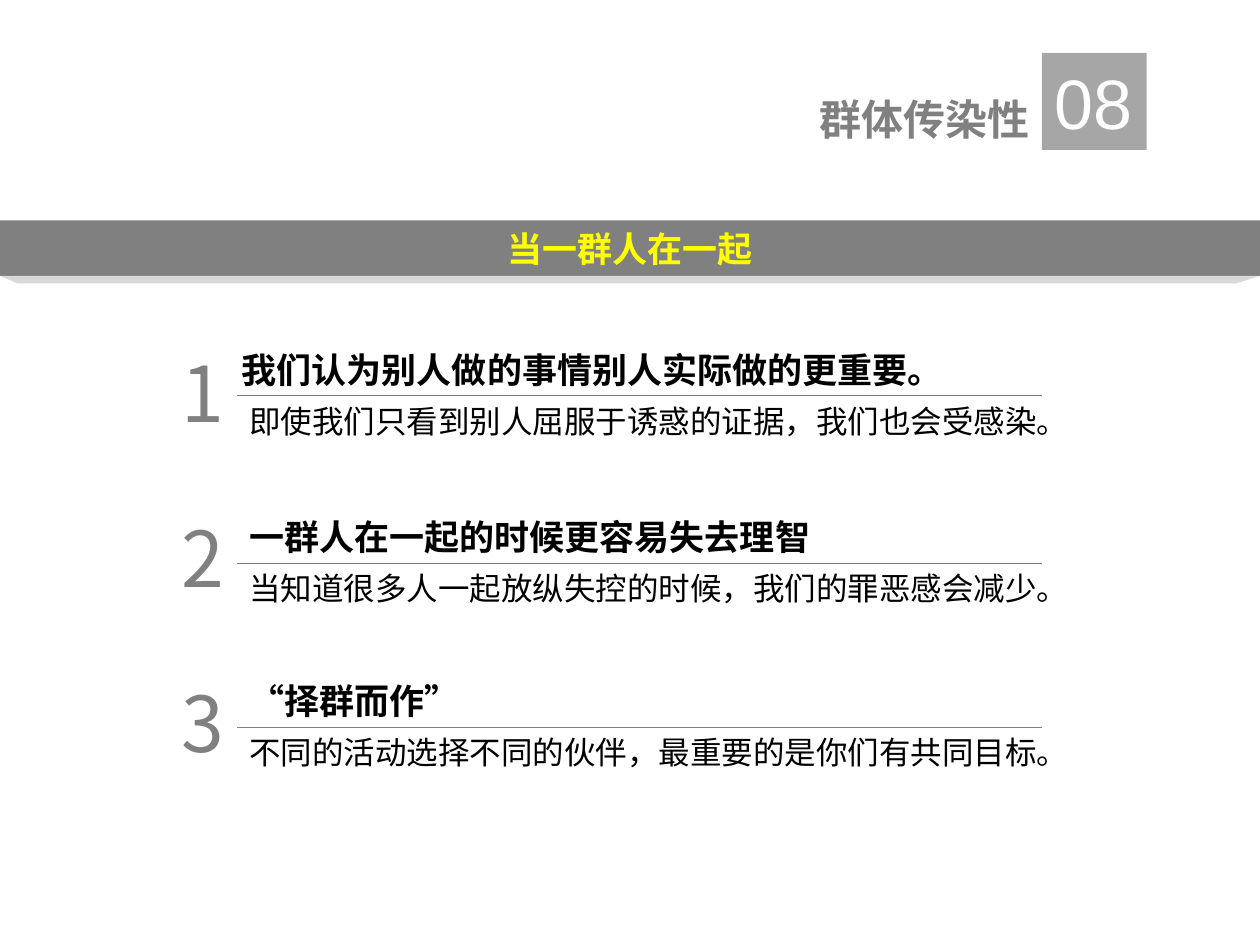
from dataclasses import dataclass

from lxml import etree
from pptx import Presentation
from pptx.dml.color import RGBColor
from pptx.enum import lang, shapes, text
from pptx.oxml import ns
from pptx.util import Inches, Pt


@dataclass(frozen=True)
class Theme:
    gray: str = "808080"
    badge: str = "A6A6A6"
    fold: str = "D9D9D9"
    white: str = "FFFFFF"
    black: str = "000000"
    yellow: str = "FFFF00"
    latin: str = "Arial"
    chinese: str = "Noto Sans CJK SC"
    digits: str = "Noto Sans CJK JP"
    body_size: int = 18
    heading_size: int = 20
    title_size: int = 24
    badge_size: int = 40
    number_size: int = 44


THEME = Theme()
LEFT, RIGHT = 1.88, 8.27
NUMBER_TOP, NUMBER_PITCH = 2.69, 1.31

# Heading, its font, explanation, heading left, heading top, rule height
POINTS = [
    ("我们认为别人做的事情别人实际做的更重要。", THEME.chinese,
     "即使我们只看到别人屈服于诱惑的证据，我们也会受感染。", 1.82, 2.72, 3.14),
    ("一群人在一起的时候更容易失去理智", THEME.latin,
     "当知道很多人一起放纵失控的时候，我们的罪恶感会减少。", LEFT, 4.04, 4.47),
    ("“择群而作”", THEME.latin,
     "不同的活动选择不同的伙伴，最重要的是你们有共同目标。", LEFT, 5.34, 5.77),
]


def write(shape, words, size, color, font=THEME.latin, bold=False,
          align=text.PP_ALIGN.LEFT, wrap=False):
    frame = shape.text_frame
    frame.text = words
    frame.word_wrap = wrap
    frame.auto_size = text.MSO_AUTO_SIZE.SHAPE_TO_FIT_TEXT
    paragraph = frame.paragraphs[0]
    paragraph.alignment = align
    run = paragraph.runs[0]
    run.font.size = Pt(size)
    run.font.bold = bold
    run.font.color.rgb = RGBColor.from_string(color)
    run.font.name = font
    run.font.language_id = lang.MSO_LANGUAGE_ID.SIMPLIFIED_CHINESE
    # East Asian typeface follows the Latin one
    latin = run.font._element.find(ns.qn("a:latin"))
    east_asian = etree.Element(ns.qn("a:ea"), typeface=THEME.chinese)
    latin.addnext(east_asian)


def add_label(slide, left, top, width, height, words, size, color, **style):
    box = slide.shapes.add_textbox(*map(Inches, (left, top, width, height)))
    write(box, words, size, color, **style)


def paint(shape, fill):
    shape.shadow.inherit = False
    shape.fill.solid()
    shape.fill.fore_color.rgb = RGBColor.from_string(fill)
    shape.line.fill.background()


def add_block(slide, left, top, width, height, fill):
    block = slide.shapes.add_shape(
        shapes.MSO_SHAPE.RECTANGLE, *map(Inches, (left, top, width, height)))
    paint(block, fill)
    return block


def add_rule(slide, top):
    rule = slide.shapes.add_connector(
        shapes.MSO_CONNECTOR.STRAIGHT,
        Inches(LEFT), Inches(top), Inches(RIGHT), Inches(top))
    rule.line.color.rgb = RGBColor.from_string(THEME.gray)
    rule.line.width = Pt(0.5)
    etree.SubElement(rule._element.spPr, ns.qn("a:effectLst"))


def add_banner(slide):
    banner = add_block(slide, 0, 1.75, 10, 0.44, THEME.gray)
    write(banner, "当一群人在一起", THEME.heading_size, THEME.yellow,
          font=THEME.chinese, bold=True, align=text.PP_ALIGN.CENTER, wrap=True)
    # Folded lower edge
    builder = slide.shapes.build_freeform(Inches(0), Inches(2.19))
    corners = [(10, 2.19), (9.81, 2.25), (0.14, 2.25)]
    builder.add_line_segments([(Inches(x), Inches(y)) for x, y in corners])
    paint(builder.convert_to_shape(), THEME.fold)


def add_title(slide):
    add_label(slide, 2.51, 0.69, 5.76, 0.5, "群体传染性", THEME.title_size,
              THEME.gray, font=THEME.chinese, bold=True,
              align=text.PP_ALIGN.RIGHT, wrap=True)
    backing = add_block(slide, RIGHT, 0.42, 0.76, 0.73, THEME.gray)
    backing.line.color.rgb = RGBColor.from_string(THEME.white)
    backing.line.width = Pt(1)
    badge = add_block(slide, RIGHT, 0.42, 0.83, 0.77, THEME.badge)
    write(badge, "08", THEME.badge_size, THEME.white)


def add_point(slide, index, heading, font, explanation, left, top, rule_top):
    add_rule(slide, rule_top)
    add_label(slide, 1.34, NUMBER_TOP + index * NUMBER_PITCH, 0.6, 0.84,
              str(index + 1), THEME.number_size, THEME.gray, font=THEME.digits)
    # One em per character, plus the side margins and a little slack
    width = len(heading) * THEME.heading_size / 72 + 0.25
    add_label(slide, left, top, width, 0.44, heading,
              THEME.heading_size, THEME.black, font=font, bold=True)
    add_label(slide, LEFT, rule_top, 6.77, 0.4, explanation,
              THEME.body_size, THEME.black)


def main():
    presentation = Presentation()
    presentation.slide_width = Inches(10)
    presentation.slide_height = Inches(7.5)
    slide = presentation.slides.add_slide(presentation.slide_layouts[6])
    add_banner(slide)
    add_title(slide)
    for index, point in enumerate(POINTS):
        add_point(slide, index, *point)
    presentation.save("out.pptx")


if __name__ == "__main__":
    main()
